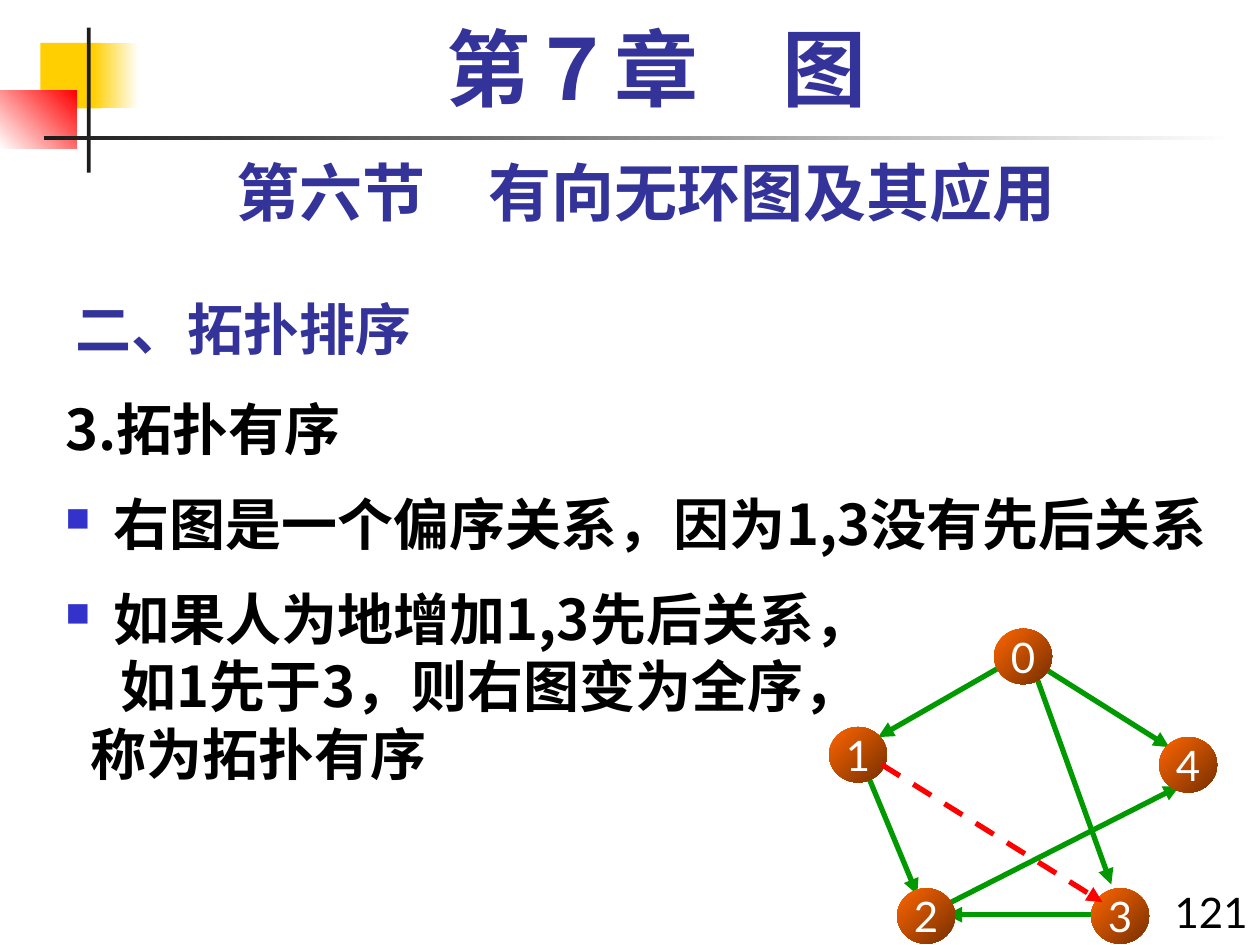
from lxml.etree import SubElement
from pptx import Presentation
from pptx.dml.color import RGBColor
from pptx.enum.dml import MSO_LINE
from pptx.enum.shapes import MSO_CONNECTOR, MSO_SHAPE
from pptx.enum.text import MSO_ANCHOR, PP_ALIGN
from pptx.oxml.ns import qn
from pptx.util import Inches, Pt

WHITE = RGBColor(0xFF, 0xFF, 0xFF)
BLACK = RGBColor(0, 0, 0)
INK = RGBColor(0x1C, 0x1C, 0x1C)
GOLD = RGBColor(0xFF, 0xCF, 0x01)
RED = RGBColor(0xFF, 0, 0)
NAVY = RGBColor(0x33, 0x33, 0x99)
BULLET = "3333CC"
GREEN = RGBColor(0, 0x99, 0)
ORANGE = RGBColor(0xFF, 0x66, 0)
BROWN = RGBColor(0x76, 0x2F, 0)
CJK = "Noto Sans CJK SC"

DECORATION = [
    ((0.32, 0.34, 0.48, 0.52), (GOLD,), 0),
    ((0.74, 0.34, 0.36, 0.52), (GOLD, WHITE), 0),
    ((0, 0.72, 0.61, 0.46), (WHITE, RED), 45),
    ((0.69, 0.22, 0.03, 1.15), (INK,), 0),
    ((0.35, 1.08, 9.45, 0.03), (INK, WHITE), 0),
]
HEADINGS = [
    ("二、拓扑排序", (0.5, 2.17, 9.5, 0.75), 32, CJK, NAVY, True, PP_ALIGN.LEFT, MSO_ANCHOR.BOTTOM, 1),
    ("第六节　有向无环图及其应用", (0.5, 1.17, 9.25, 0.7), 36, "Lato", NAVY, True, PP_ALIGN.CENTER, MSO_ANCHOR.TOP, 1),
    ("第７章　图", (0.67, 0.17, 9.08, 0.83), 48, "Times New Roman", NAVY, True, PP_ALIGN.CENTER, MSO_ANCHOR.TOP, 0.9),
    ("121", (9.2, 6.99, 0.8, 0.5), 24, "Lato", BLACK, False, PP_ALIGN.RIGHT, MSO_ANCHOR.TOP, 1),
]
BODY_AREA = (0.42, 3.08, 9.58, 4.42)
BODY = [
    ("3.拓扑有序", 0.38, -0.38, 0, False),
    ("右图是一个偏序关系，因为1,3没有先后关系", 0.38, -0.38, 16, True),
    ("如果人为地增加1,3先后关系，", 0.38, -0.38, 16, True),
    ("如1先于3，则右图变为全序，", 0.44, 0, 0, False),
    ("称为拓扑有序", 0.2, 0, 0, False),
]
NODE_SIZE = (0.46, 0.44)
NODES = {"1": (6.58, 5.77), "3": (8.66, 7.05), "2": (7.12, 7.05), "4": (9.2, 5.85), "0": (7.89, 4.99)}
EDGES = [
    ((8.28, 5.3), (9.28, 5.93)),
    ((6.89, 6.16), (7.28, 7.1)),
    ((8.05, 5.23), (6.97, 5.85)),
    ((8.2, 5.3), (8.82, 7.02)),
    ((8.66, 7.26), (7.51, 7.26)),
    ((7.51, 7.18), (9.36, 6.24)),
]
ADDED_EDGE = ((7, 6.07), (8.75, 7.16))


def inches(values):
    return [Inches(value) for value in values]


def style(paragraph, size, font_name, color, bold=False):
    for run in paragraph.runs:
        run.font.size = Pt(size)
        run.font.name = font_name
        run.font.bold = bold
        run.font.color.rgb = color
        SubElement(run._r.get_or_add_rPr(), qn("a:ea"), typeface=CJK)


def add_filled(slide, kind, area, colors, angle):
    shape = slide.shapes.add_shape(kind, *inches(area))
    shape.shadow.inherit = False
    shape.line.fill.background()
    if len(colors) == 1:
        shape.fill.solid()
        shape.fill.fore_color.rgb = colors[0]
    else:
        shape.fill.gradient()
        shape.fill.gradient_angle = angle
        for position, (stop, color) in enumerate(zip(shape.fill.gradient_stops, colors)):
            stop.color.rgb = color
            stop.position = position
    return shape


def add_heading(slide, text, area, size, font_name, color, bold, align, anchor, spacing):
    frame = slide.shapes.add_textbox(*inches(area)).text_frame
    frame.word_wrap = True
    frame.vertical_anchor = anchor
    paragraph = frame.paragraphs[0]
    paragraph.text = text
    paragraph.alignment = align
    paragraph.line_spacing = spacing
    style(paragraph, size, font_name, color, bold)


def add_body(slide):
    frame = slide.shapes.add_textbox(*inches(BODY_AREA)).text_frame
    frame.word_wrap = True
    for index, (text, margin, indent, before, bulleted) in enumerate(BODY):
        paragraph = frame.add_paragraph() if index else frame.paragraphs[0]
        paragraph.text = text
        paragraph.space_before = Pt(before)
        properties = paragraph._p.get_or_add_pPr()
        properties.set("marL", str(Inches(margin)))
        properties.set("indent", str(Inches(indent)))
        if bulleted:
            bullet_color = SubElement(properties, qn("a:buClr"))
            SubElement(bullet_color, qn("a:srgbClr"), val=BULLET)
            SubElement(properties, qn("a:buSzPct"), val="60000")
            SubElement(properties, qn("a:buChar"), char="■")
        style(paragraph, 32, CJK, BLACK, True)


def add_arrow(slide, start, end, color, dash=None):
    arrow = slide.shapes.add_connector(MSO_CONNECTOR.STRAIGHT, *inches(start + end))
    arrow.line.color.rgb = color
    arrow.line.width = Pt(3)
    if dash:
        arrow.line.dash_style = dash
    SubElement(arrow.line._get_or_add_ln(), qn("a:tailEnd"), type="triangle")
    SubElement(arrow._element.spPr, qn("a:effectLst"))


def add_node(slide, label, corner):
    node = add_filled(slide, MSO_SHAPE.OVAL, corner + NODE_SIZE, (ORANGE, BROWN), 315)
    frame = node.text_frame
    frame.margin_left = frame.margin_right = 0
    frame.word_wrap = False
    frame.vertical_anchor = MSO_ANCHOR.MIDDLE
    frame.text = label
    frame.paragraphs[0].alignment = PP_ALIGN.CENTER
    style(frame.paragraphs[0], 24, "Lato", WHITE)


def main():
    presentation = Presentation()
    presentation.slide_width = Inches(10)
    presentation.slide_height = Inches(7.5)
    slide = presentation.slides.add_slide(presentation.slide_layouts[6])
    for area, colors, angle in DECORATION:
        add_filled(slide, MSO_SHAPE.RECTANGLE, area, colors, angle)
    for heading in HEADINGS:
        add_heading(slide, *heading)
    add_body(slide)
    for start, end in EDGES:
        add_arrow(slide, start, end, GREEN)
    for label, corner in NODES.items():
        add_node(slide, label, corner)
    add_arrow(slide, *ADDED_EDGE, RED, MSO_LINE.DASH)
    presentation.save("out.pptx")


if __name__ == "__main__":
    main()
